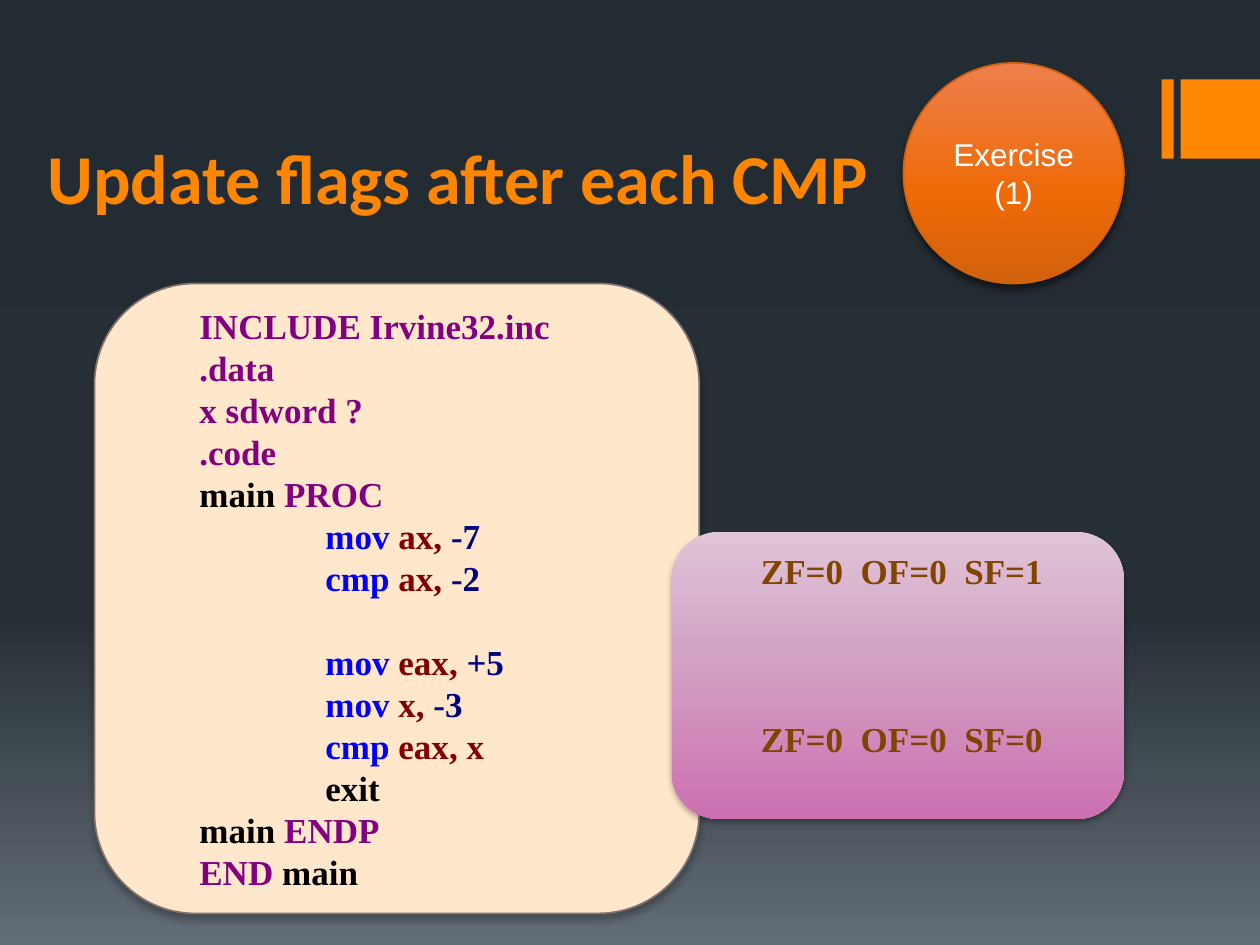
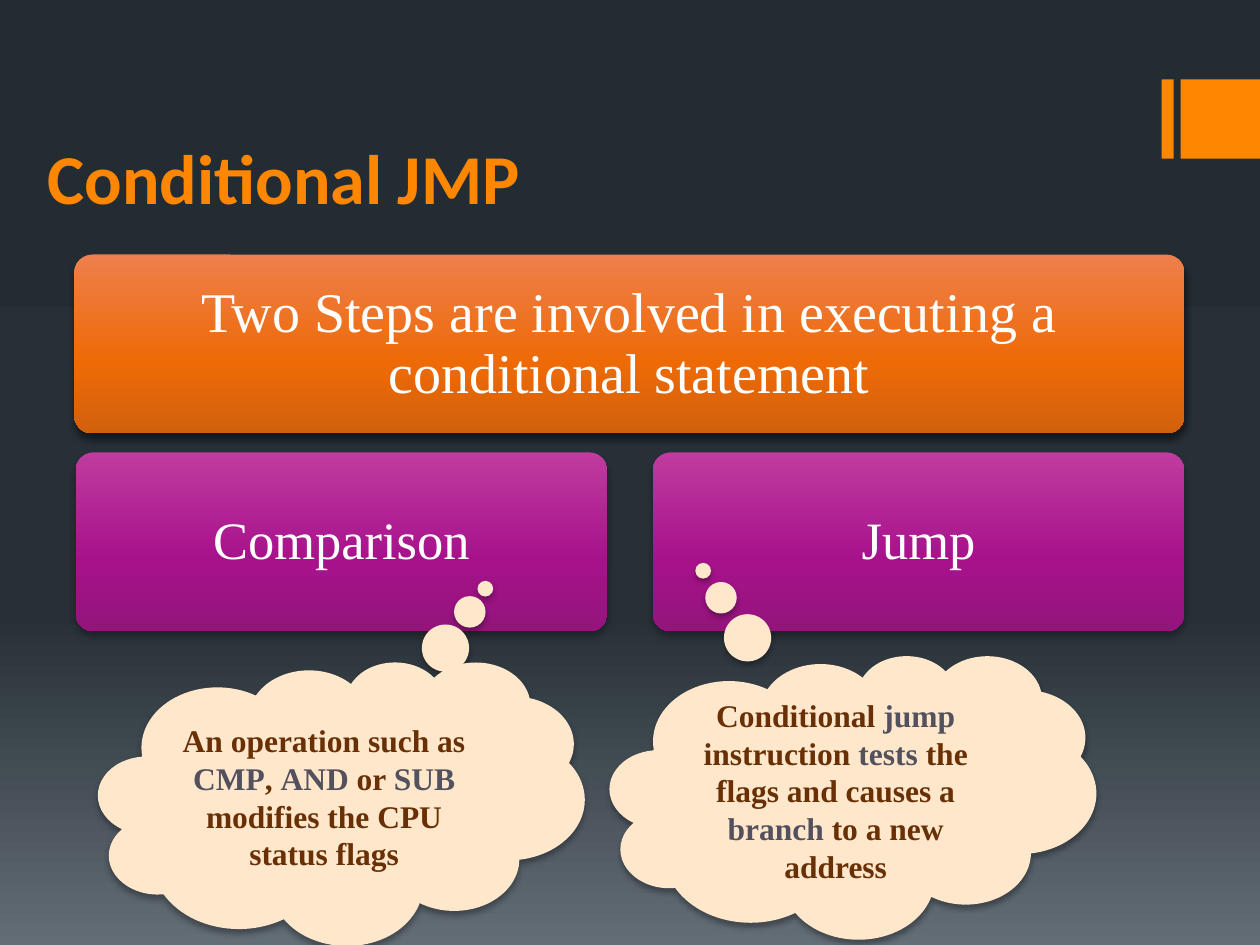
"""Build two slides about CMP flags and conditional jumps in assembly."""
from dataclasses import dataclass
from typing import Any, NamedTuple, Optional

from lxml import etree
from pptx import Presentation
from pptx.dml.color import RGBColor
from pptx.enum.shapes import MSO_SHAPE
from pptx.enum.text import MSO_ANCHOR, PP_ALIGN
from pptx.oxml.ns import qn
from pptx.util import Emu, Inches, Pt

RECTANGLE, ROUNDED = MSO_SHAPE.RECTANGLE, MSO_SHAPE.ROUNDED_RECTANGLE
OVAL, CLOUD = MSO_SHAPE.OVAL, MSO_SHAPE.CLOUD_CALLOUT
MIDDLE, BOTTOM = MSO_ANCHOR.MIDDLE, MSO_ANCHOR.BOTTOM
LEFT, CENTER = PP_ALIGN.LEFT, PP_ALIGN.CENTER

SLIDE_WIDTH, SLIDE_HEIGHT = Inches(10), Inches(7.5)
COLUMNS, ROWS = 100, 75
SERIF = "Times New Roman"
LEADING = 1.2

ACCENT, CREAM, WHITE, BLACK = "FF8600", "FFE7CC", "FFFFFF", "000000"
DIRECTIVE, MNEMONIC, OPERAND, NUMBER = "800080", "0000FF", "800000", "000080"
FLAG, BROWN, KEYWORD = "804300", "693006", "53515E"

Gradient = tuple[tuple[int, str], ...]
Run = tuple[str, str]
NIGHT: Gradient = ((0, "242C33"), (65, "273037"), (100, "636D76"))
ORANGE: Gradient = ((0, "EE7F4C"), (60, "EE6A07"), (100, "D2610C"))
PURPLE: Gradient = ((0, "BF3B9F"), (60, "A7128B"), (100, "94147C"))
PINK: Gradient = ((0, "E0C4D7"), (41, "D4A4C5"), (100, "CC70B1"))


class Box(NamedTuple):
    """A place on the slide grid, in columns and rows."""

    column: float
    row: float
    columns: float
    rows: float

    def lengths(self) -> tuple[Emu, Emu, Emu, Emu]:
        """Return left, top, width and height."""
        across, down = SLIDE_WIDTH / COLUMNS, SLIDE_HEIGHT / ROWS
        return (Emu(round(self.column * across)), Emu(round(self.row * down)),
                Emu(round(self.columns * across)), Emu(round(self.rows * down)))


class Shadow(NamedTuple):
    """A shadow falling straight down."""

    opacity: int
    blur: float
    distance: float


class Line(NamedTuple):
    """One paragraph with its coloured runs."""

    runs: tuple[Run, ...]
    indent: float = 0
    lines_after: int = 0


@dataclass(frozen=True)
class Panel:
    """The look and place of one filled shape."""

    kind: Any
    box: Box
    fill: str | Gradient
    shadow: Optional[Shadow] = None
    outline: Optional[str] = None
    adjustments: tuple[float, ...] = ()


DEEP, SOFT, LIGHT = Shadow(48, 3.8, 3), Shadow(28, 4, 3), Shadow(32, 3.5, 2.2)


def rgb(color: str) -> RGBColor:
    """Turn a hex string into a colour."""
    return RGBColor.from_string(color)


def add_color(parent: Any, color: str) -> Any:
    """Append an XML colour to an element."""
    return etree.SubElement(parent, qn("a:srgbClr"), val=color)


def paint_gradient(fill: Any, root: Any, stops: Gradient) -> None:
    """Fill with a gradient running from top to bottom."""
    fill.gradient()
    fill.gradient_angle = 270
    stop_list = next(root.iter(qn("a:gsLst")))
    for old_stop in list(stop_list):
        stop_list.remove(old_stop)
    for position, color in stops:
        stop = etree.SubElement(stop_list, qn("a:gs"), pos=str(position * 1000))
        add_color(stop, color)


def cast_shadow(shape: Any, shadow: Shadow) -> None:
    """Give a shape a soft shadow below it."""
    effects = shape._element.spPr.find(qn("a:effectLst"))
    outer = etree.SubElement(
        effects, qn("a:outerShdw"), blurRad=str(Pt(shadow.blur)),
        dist=str(Pt(shadow.distance)), dir="5400000", rotWithShape="0")
    etree.SubElement(add_color(outer, BLACK), qn("a:alpha"),
                     val=str(shadow.opacity * 1000))


def draw_panel(slide: Any, panel: Panel) -> Any:
    """Draw a panel and return its shape."""
    shape = slide.shapes.add_shape(panel.kind, *panel.box.lengths())
    for index, value in enumerate(panel.adjustments):
        shape.adjustments[index] = value
    if isinstance(panel.fill, str):
        shape.fill.solid()
        shape.fill.fore_color.rgb = rgb(panel.fill)
    else:
        paint_gradient(shape.fill, shape._element, panel.fill)
    if panel.outline:
        shape.line.color.rgb = rgb(panel.outline)
        shape.line.width = Pt(1)
    else:
        shape.line.fill.background()
    shape.shadow.inherit = False
    if panel.shadow:
        cast_shadow(shape, panel.shadow)
    return shape


def write_text(shape: Any, *lines: Line, size: float, font: str = SERIF,
               bold: bool = False, align: Any = CENTER, anchor: Any = MIDDLE,
               leading: float = LEADING) -> None:
    """Write paragraphs into a shape."""
    frame = shape.text_frame
    frame.word_wrap = True
    frame.vertical_anchor = anchor
    for number, line in enumerate(lines):
        paragraph = frame.add_paragraph() if number else frame.paragraphs[0]
        paragraph.alignment = align
        paragraph.line_spacing = Pt(size * leading)
        paragraph.space_after = Pt(size * leading * line.lines_after)
        if line.indent:
            properties = paragraph._p.get_or_add_pPr()
            properties.set("marL", str(Inches(line.indent)))
            properties.set("indent", "0")
        for text, color in line.runs:
            run = paragraph.add_run()
            run.text = text
            run.font.name, run.font.size, run.font.bold = font, Pt(size), bold
            run.font.color.rgb = rgb(color)


def start_slide(deck: Any, title: str) -> Any:
    """Add a slide with the shared background, side bars and title."""
    slide = deck.slides.add_slide(deck.slide_layouts[6])
    paint_gradient(slide.background.fill, slide._element, NIGHT)
    for column, columns in ((92.2, 0.94), (93.7, 6.3)):
        draw_panel(slide, Panel(RECTANGLE, Box(column, 6.3, columns, 6.3), ACCENT))
    heading = slide.shapes.add_textbox(*Box(2.8, 5.2, 87.9, 12.6).lengths())
    write_text(heading, Line(((title, ACCENT),)), size=40, font="Calibri",
               bold=True, align=LEFT, anchor=BOTTOM)
    return slide


def directive(text: str) -> Line:
    """Return a code line holding only a directive."""
    return Line(((text, DIRECTIVE),), 0.5)


def instruction(mnemonic: str, operands: str, number: str = "",
                lines_after: int = 0) -> Line:
    """Return an indented code line with its operands."""
    runs = ((mnemonic + " ", MNEMONIC), (operands, OPERAND))
    if number:
        runs += ((" " + number, NUMBER),)
    return Line(runs, 1.5, lines_after)


def build_exercise(deck: Any) -> None:
    """Build the slide with the flag exercise."""
    slide = start_slide(deck, "Update flags after each CMP")
    badge = draw_panel(slide, Panel(OVAL, Box(71.7, 5, 17.5, 17.5), ORANGE,
                                    DEEP, "D2610C"))
    write_text(badge, Line((("Exercise (1)", WHITE),)), size=18, font="Arial")

    code = draw_panel(slide, Panel(ROUNDED, Box(7.5, 22.5, 48, 50), CREAM,
                                   SOFT, "80716A"))
    write_text(
        code,
        *map(directive, ("INCLUDE Irvine32.inc", ".data", "x sdword ?", ".code")),
        Line((("main", BLACK), (" PROC", DIRECTIVE)), 0.5),
        instruction("mov", "ax,", "-7"),
        instruction("cmp", "ax,", "-2", lines_after=1),
        instruction("mov", "eax,", "+5"),
        instruction("mov", "x,", "-3"),
        instruction("cmp", "eax, x"),
        Line((("exit", BLACK),), 1.5),
        Line((("main ", BLACK), ("ENDP", DIRECTIVE)), 0.5),
        Line((("END ", DIRECTIVE), ("main", BLACK)), 0.5),
        size=20, bold=True, align=LEFT)

    flags = draw_panel(slide, Panel(ROUNDED, Box(53.3, 42.2, 35.9, 22.8), PINK, LIGHT))
    flags.text_frame.margin_top = 0
    flags.text_frame.margin_bottom = Pt(20 * LEADING)
    write_text(flags, Line((("ZF=0  OF=0  SF=1", FLAG),), 0.5, lines_after=3),
               Line((("ZF=0  OF=0  SF=0", FLAG),), 0.5),
               size=20, bold=True, align=LEFT)


def build_conditional_jump(deck: Any) -> None:
    """Build the slide with the two steps of a conditional statement."""
    slide = start_slide(deck, "Conditional JMP")
    summary = "Two Steps are involved in executing a conditional statement"
    steps = (
        (summary, Box(5.9, 20.2, 88.1, 14.2), ORANGE, DEEP, 32),
        ("Comparison", Box(6, 35.9, 42.2, 14.2), PURPLE, SOFT, 30),
        ("Jump", Box(51.8, 35.9, 42.2, 14.2), PURPLE, SOFT, 30),
    )
    for text, box, fill, shadow, size in steps:
        step = draw_panel(slide, Panel(ROUNDED, box, fill, shadow, adjustments=(0.1,)))
        write_text(step, Line(((text, WHITE),)), size=size, leading=0.9 * LEADING)

    comparison = (Line((
        ("An operation such as ", BROWN), ("CMP", KEYWORD), (", ", BROWN),
        ("AND", KEYWORD), (" or ", BROWN), ("SUB", KEYWORD),
        (" modifies the CPU status flags", BROWN))),)
    jump = (Line((
        ("Conditional ", BROWN), ("jump", KEYWORD), (" instruction ", BROWN),
        ("tests", KEYWORD), (" the flags and causes a ", BROWN),
        ("branch", KEYWORD), (" to a new", BROWN))),
        Line((("address", BROWN),)))
    thoughts = ((comparison, Box(7.8, 52.5, 38.6, 22.5), (0.296, -0.757)),
                (jump, Box(48.4, 52, 38.6, 22.5), (-0.308, -0.798)))
    for lines, box, tail in thoughts:
        thought = draw_panel(slide, Panel(CLOUD, box, CREAM, LIGHT, adjustments=tail))
        write_text(thought, *lines, size=18, bold=True)


def main() -> None:
    """Build and save the deck."""
    deck = Presentation()
    deck.slide_width, deck.slide_height = SLIDE_WIDTH, SLIDE_HEIGHT
    build_exercise(deck)
    build_conditional_jump(deck)
    deck.save("out.pptx")


main()
